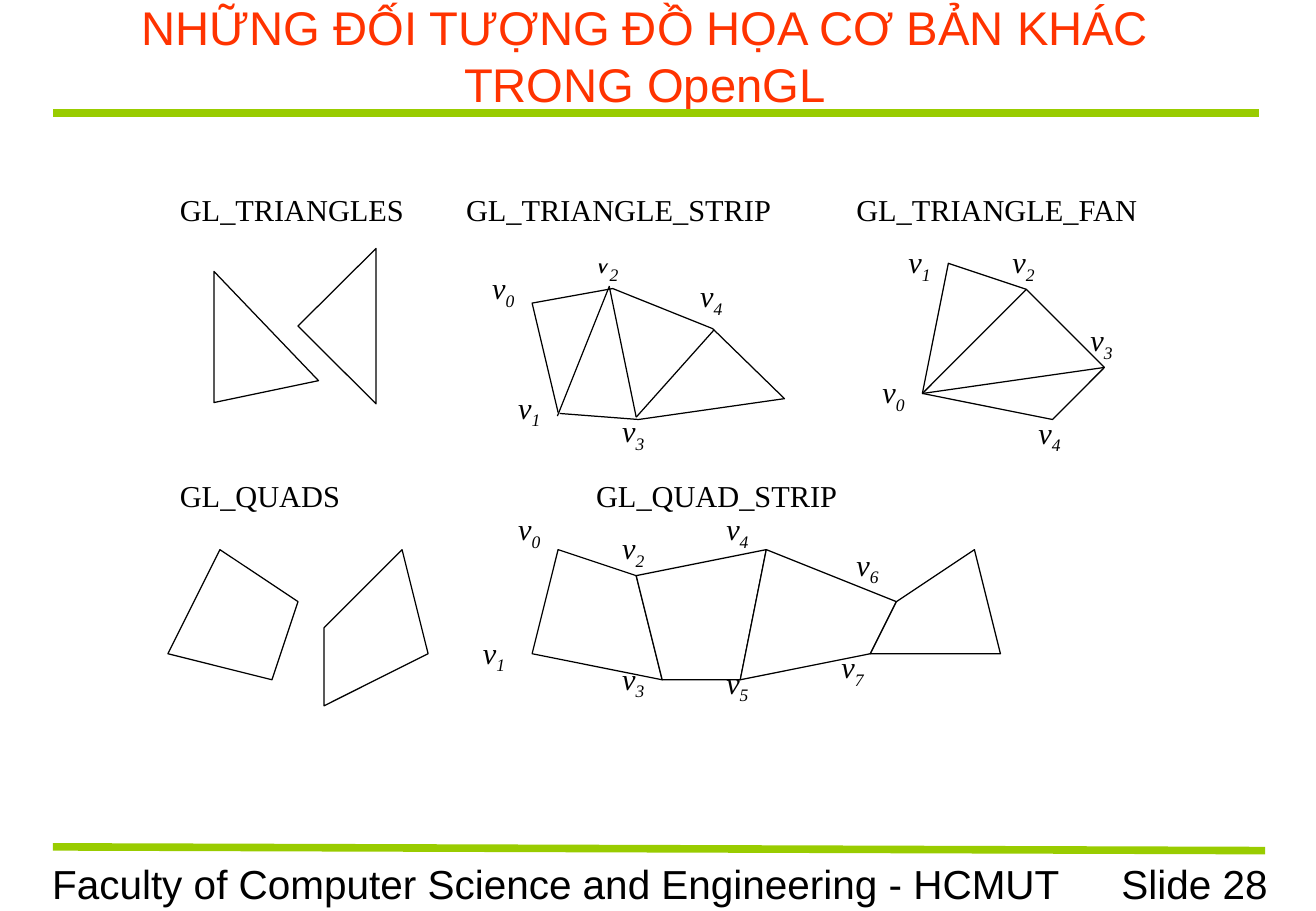
from lxml import etree
from pptx import Presentation
from pptx.dml.color import RGBColor
from pptx.enum import shapes, text
from pptx.oxml import ns
from pptx.util import Pt

COLORS = {"title": "FF3300", "rule": "99CC00", "ink": "000000", "paper": "FFFFFF"}
GRID = 15.43  # one drawing unit, in points
LEFT, TOP = 99.6, 109.8  # corner of the drawing grid
LABEL = 3  # side of a vertex label, in units


def rgb(name):
    return RGBColor.from_string(COLORS[name])


def write(sp, runs, size, font, color="ink", align=text.PP_ALIGN.LEFT,
          anchor=text.MSO_ANCHOR.TOP, italic=False):
    """Fill sp with one paragraph of runs and return the runs."""
    tf = sp.text_frame
    tf.word_wrap = True
    tf.vertical_anchor = anchor
    p = tf.paragraphs[0]
    p.alignment = align
    added = []
    for words in runs:
        r = p.add_run()
        r.text = words
        added.append(r)
    f = p.font
    f.size, f.name, f.italic = Pt(size), font, italic
    f.color.rgb = rgb(color)
    return added


def text_box(s, box, words, size, **style):
    sp = s.shapes.add_textbox(*map(Pt, box))
    write(sp, [words], size, "Arial", **style)


def line(s, start, end, color="ink", width=0.75):
    c = s.shapes.add_connector(shapes.MSO_CONNECTOR.STRAIGHT,
                               *map(Pt, (*start, *end)))
    c.line.color.rgb = rgb(color)
    c.line.width = Pt(width)
    etree.SubElement(c._element.spPr, ns.qn("a:effectLst"))


def header(s, x, y, w, h):
    text_box(s, (x, y, w, h), "NHỮNG ĐỐI TƯỢNG ĐỒ HỌA CƠ BẢN KHÁC TRONG OpenGL",
             28, color="title", align=text.PP_ALIGN.CENTER,
             anchor=text.MSO_ANCHOR.MIDDLE)
    line(s, (x + 7.6, y + 59.4), (x + 722.8, y + 59.4), "rule", 4.5)


def footer(s, x, y, w, h):
    number_w = 143.3
    line(s, (x + 7.6, y - 3.4), (x + 726.5, y - 1.2), "rule", 4.5)
    text_box(s, (x + w - number_w, y, number_w, h), "Slide 28", 24,
             align=text.PP_ALIGN.RIGHT)
    text_box(s, (x, y, 613.4, h),
             "Faculty of Computer Science and Engineering - HCMUT", 24)


def primitive(s, col, row, name, heading, labels=(), outlines=(), edges=(),
              closed=True, heading_first=False):
    """Draw one primitive; all places are in grid units from (col, row)."""
    def at(x, y):
        return LEFT + (col + x) * GRID, TOP + (row + y) * GRID

    def white_box(x, y, w, h, runs, italic=False):
        sp = s.shapes.add_shape(shapes.MSO_SHAPE.RECTANGLE,
                                *map(Pt, (*at(x, y), w * GRID, h * GRID)))
        sp.shadow.inherit = False
        sp.fill.solid()
        sp.fill.fore_color.rgb = rgb("paper")
        sp.line.fill.background()
        return write(sp, runs, 18, "Times New Roman", italic=italic)

    def add_heading():
        dx, w, h = heading
        white_box(dx, 0, w, h, [name])

    if heading_first:
        add_heading()
    for i, (x, y) in reversed(list(enumerate(labels))):
        index = white_box(x, y, LABEL, LABEL, ["v", str(i)], italic=True)[1]
        index.font._element.set("baseline", "-25000")
    if not heading_first:
        add_heading()

    for outline in outlines:
        points = [tuple(map(Pt, at(*vertex))) for vertex in outline]
        builder = s.shapes.build_freeform(*points[0])
        builder.add_line_segments(points[1:], close=closed)
        sp = builder.convert_to_shape()
        sp.shadow.inherit = False
        if closed:
            sp.fill.solid()
            sp.fill.fore_color.rgb = rgb("paper")
        else:
            sp.fill.background()
        sp.line.color.rgb = rgb("ink")
        sp.line.width = Pt(0.75)
    for start, end in edges:
        line(s, at(*start), at(*end))


def triangles(s, col, row):
    primitive(s, col, row, "GL_TRIANGLES", (0, 11, 3), outlines=[
        [(1.77, 3.31), (5.79, 7.51), (1.77, 8.35)],
        [(5, 5.41), (8, 2.43), (8, 8.4)]])


def triangle_strip(s, col, row):
    primitive(
        s, col, row, "GL_TRIANGLE_STRIP", (0, 15, 3),
        labels=[(1, 3), (2, 7.6), (5, 2), (6, 8.5), (9, 3.3)],
        outlines=[[(4, 8.73), (3, 4.53), (6.1, 3.97), (9.94, 5.51),
                   (12.7, 8.2), (7.09, 9), (4.06, 8.77)]],
        edges=[((3.97, 8.87), (5.97, 3.87)), ((5.97, 3.92), (7, 8.91)),
               ((7, 8.91), (10, 5.55))],
        closed=False)


def triangle_fan(s, col, row):
    v0, v1, v2, v3, v4 = fan = [(3, 8), (4, 3), (7, 4), (10, 7), (8, 9)]
    primitive(s, col, row, "GL_TRIANGLE_FAN", (0, 15, 3),
              labels=[(1, 7), (2, 2), (6, 2), (9, 5), (7, 8.55)],
              outlines=[fan], edges=[(v0, v2), (v0, v3)],
              heading_first=True)


def quads(s, col, row):
    primitive(s, col, row, "GL_QUADS", (0, 11, 3), outlines=[
        [(2, 3), (0, 7), (4, 8), (5, 5)],
        [(6, 6), (9, 3), (10, 7), (6, 9)]])


def quad_strip(s, col, row):
    upper = [(4, 3), (7, 4), (12, 3), (17, 5), (20, 3)]
    lower = [(3, 7), (8, 8), (11, 8), (16, 7), (21, 7)]
    cells = [[lower[i], upper[i], upper[i + 1], lower[i + 1]]
             for i in range(len(upper) - 1)]
    primitive(s, col, row, "GL_QUAD_STRIP", (5, 13, 2),
              labels=[(2, 1.26), (0.65, 6), (6, 2), (6, 7),
                      (10, 1.26), (10, 7.15), (15, 2.62), (14.43, 6.55)],
              outlines=cells)


def main():
    prs = Presentation()
    prs.slide_width = Pt(780.48)
    prs.slide_height = Pt(540)
    s = prs.slides.add_slide(prs.slide_layouts[6])
    footer(s, 23.8, 505.4, 735.1, 36)
    header(s, 23.9, 7.5, 717.1, 50.4)
    triangles(s, 0, 0)
    triangle_strip(s, 11, 0)
    triangle_fan(s, 26, 0)
    quads(s, 0, 11)
    quad_strip(s, 11, 11)
    prs.save("out.pptx")


if __name__ == "__main__":
    main()
